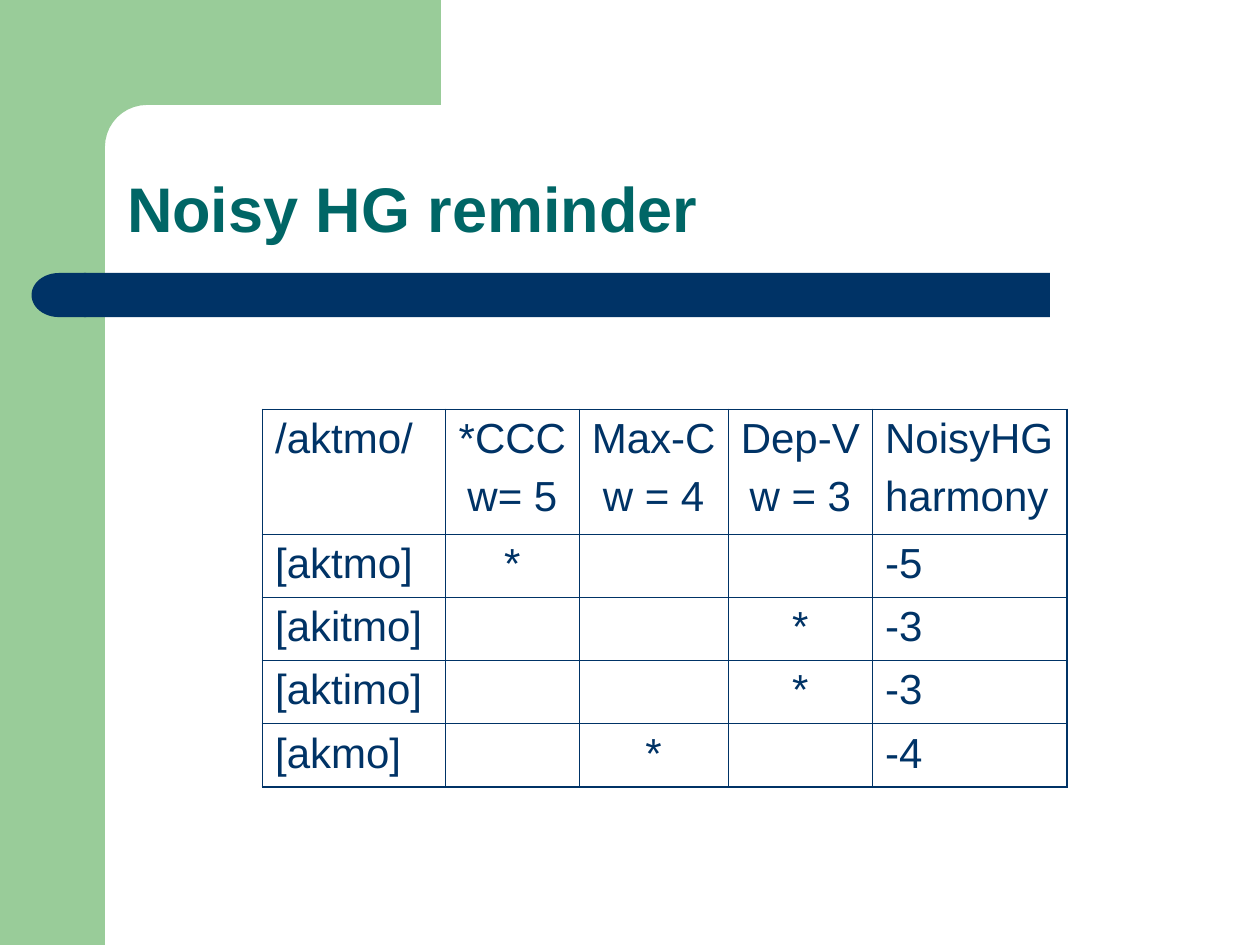
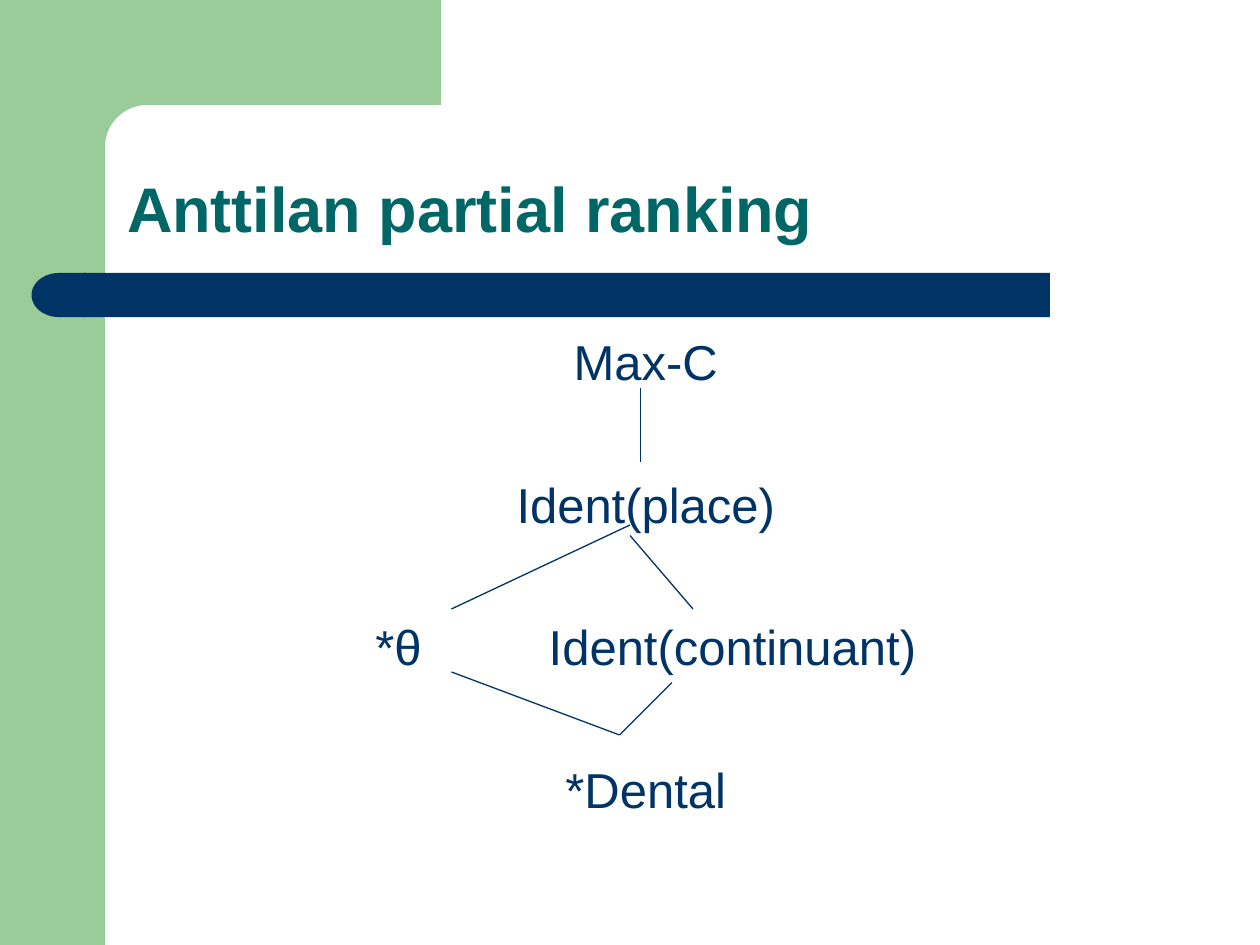
import math
from typing import NamedTuple

import lxml.etree
import pptx
import pptx.dml.color
import pptx.enum.shapes
import pptx.enum.text
import pptx.oxml.ns
import pptx.util

# Shared look: the slide is a grid of 120 columns by 90 rows
COLS, ROWS = 120, 90
UNIT = pptx.util.Inches(10) // COLS
GREEN, NAVY, TEAL = "99CC99", "003366", "006666"
FONT = "Arial"
KIND = pptx.enum.shapes.MSO_SHAPE
ALIGN = pptx.enum.text.PP_ALIGN
ANCHOR = pptx.enum.text.MSO_ANCHOR


class Box(NamedTuple):
    left: float
    top: float
    width: float
    height: float


class Band(NamedTuple):
    kind: KIND
    box: Box
    fill: str
    turn: int = 0


class Link(NamedTuple):
    x1: float
    y1: float
    x2: float
    y2: float


BANDS = [
    Band(KIND.RECTANGLE, Box(0, 0, 10, ROWS), GREEN),
    Band(KIND.RECTANGLE, Box(8, 26, 92, 4.2), NAVY),
    Band(KIND.FLOWCHART_DELAY, Box(3, 26, 5.2, 4.2), NAVY, 180),
]
TITLE = Box(10.9, 10.9, 102, 13.1)


def cells(*sizes: float) -> list:
    return [pptx.util.Emu(round(size * UNIT)) for size in sizes]


def color(code: str):
    return pptx.dml.color.RGBColor.from_string(code)


def node(root, tag: str, **attrs: str):
    return lxml.etree.SubElement(root, pptx.oxml.ns.qn(tag), attrs)


def paint(shape, fill: str) -> None:
    shape.shadow.inherit = False
    shape.fill.solid()
    shape.fill.fore_color.rgb = color(fill)
    shape.line.fill.background()


def write(frame, lines: list, *, size: float, tint: str = NAVY, bold: bool = False,
          align=ALIGN.LEFT, gap: float = 0, pitch=None, hang: float = 0) -> None:
    frame.word_wrap = True
    for i, line in enumerate(lines):
        para = frame.paragraphs[0] if i == 0 else frame.add_paragraph()
        if hang:
            inset = cells(hang)[0]
            props = para._p.get_or_add_pPr()
            props.set("marL", str(inset))
            props.set("indent", str(-inset))
            props.set("defTabSz", str(pptx.util.Inches(1)))
            node(props, "a:buNone")
            stops = node(props, "a:tabLst")
            for inch in range(8):
                node(stops, "a:tab", pos=str(pptx.util.Inches(inch)), algn="l")
        para.alignment = align
        para.space_before = pptx.util.Pt(gap if i else 0)
        if pitch:
            para.line_spacing = pitch
        run = para.add_run()
        run.text = line
        run.font.name, run.font.size, run.font.bold = FONT, pptx.util.Pt(size), bold
        run.font.color.rgb = color(tint)


def place(shape, box: Box):
    shape.left, shape.top, shape.width, shape.height = cells(*box)
    frame = shape.text_frame
    frame.auto_size = pptx.enum.text.MSO_AUTO_SIZE.NONE
    return frame


def frame_art(slide) -> None:
    """Green corner and navy bar, grouped behind the text."""
    group = slide.shapes.add_group_shape()
    for band in BANDS:
        shape = group.shapes.add_shape(band.kind, *cells(*band.box))
        shape.rotation = band.turn
        paint(shape, band.fill)
    # Corner piece with a round inner edge
    turns = [math.radians(step * 9) for step in range(11)]
    arc = [(14 - 4 * math.sin(t), 14 - 4 * math.cos(t)) for t in turns]
    edge = [(42, 10), *arc, (10, 15.4), (6, 15.4), (6, 0)]
    pen = group.shapes.build_freeform(*cells(42, 0), scale=1.0)
    pen.add_line_segments([cells(*point) for point in edge], close=True)
    paint(pen.convert_to_shape(), GREEN)
    slide.shapes._spTree.insert(2, group._element)


def start(deck, layout: int, title: str):
    slide = deck.slides.add_slide(deck.slide_layouts[layout])
    frame_art(slide)
    frame = place(slide.shapes.title, TITLE)
    frame.vertical_anchor = ANCHOR.BOTTOM
    write(frame, [title], size=36, tint=TEAL, bold=True, pitch=0.9)
    return slide


def border(cell, outer: dict) -> None:
    props = cell._tc.get_or_add_tcPr()
    for side in "LRTB":
        width = pptx.util.Pt(1.08 if outer[side] else 0.45)
        line = node(props, "a:ln" + side, w=str(width))
        node(node(line, "a:solidFill"), "a:srgbClr", val=NAVY)
    cell.fill.background()


def add_grid(slide, rows: list, widths: list, heights: list, left: float, top: float) -> None:
    box = Box(left, top, sum(widths), sum(heights))
    table = slide.shapes.add_table(len(rows), len(widths), *cells(*box)).table
    table.first_row = table.horz_banding = False
    for col, width in zip(table.columns, cells(*widths)):
        col.width = width
    for row, height in zip(table.rows, cells(*heights)):
        row.height = height
    last_row, last_col = len(rows) - 1, len(widths) - 1
    for r, row in enumerate(rows):
        for c, words in enumerate(row):
            cell = table.cell(r, c)
            border(cell, {"L": c == 0, "R": c == last_col, "T": r == 0, "B": r == last_row})
            if words:
                side = ALIGN.LEFT if c in (0, last_col) else ALIGN.CENTER
                write(cell.text_frame, words.split("\n"), size=24, align=side, gap=6)


def join(slide, link: Link) -> None:
    line = slide.shapes.add_connector(
        pptx.enum.shapes.MSO_CONNECTOR.STRAIGHT, *cells(*link))
    line.line.color.rgb = color(NAVY)
    line.line.width = pptx.util.Pt(0.75)
    node(line._element.spPr, "a:effectLst")


def harmony(deck) -> None:
    slide = start(deck, 5, "Noisy HG reminder")
    rows = [
        ["/aktmo/", "*CCC\nw= 5", "Max-C\nw = 4", "Dep-V\nw = 3", "NoisyHG\nharmony"],
        ["[aktmo]", "*", "", "", "-5"],
        ["[akitmo]", "", "", "*", "-3"],
        ["[aktimo]", "", "", "*", "-3"],
        ["[akmo]", "", "*", "", "-4"],
    ]
    add_grid(slide, rows, [17.45, 12.7, 14.2, 13.75, 18.55], [11.85] + [6.03] * 4, 25, 39)


def ranking(deck) -> None:
    slide = start(deck, 1, "Anttilan partial ranking")
    tiers = ["Max-C", "Ident(place)", "*θ\t\tIdent(continuant)", "*Dental"]
    frame = place(slide.placeholders[1], Box(11, 31, 101, 48.8))
    write(frame, tiers, size=28, align=ALIGN.CENTER, gap=47.8, hang=4.5)
    # Lines from each tier to the next
    for link in [
        Link(61, 37, 61, 44),
        Link(60, 50, 43, 58),
        Link(60, 51, 66, 58),
        Link(43, 64, 59, 70),
        Link(64, 65, 59, 70),
    ]:
        join(slide, link)


def main() -> None:
    deck = pptx.Presentation()
    deck.slide_width, deck.slide_height = cells(COLS, ROWS)
    harmony(deck)
    ranking(deck)
    deck.save("out.pptx")


if __name__ == "__main__":
    main()
